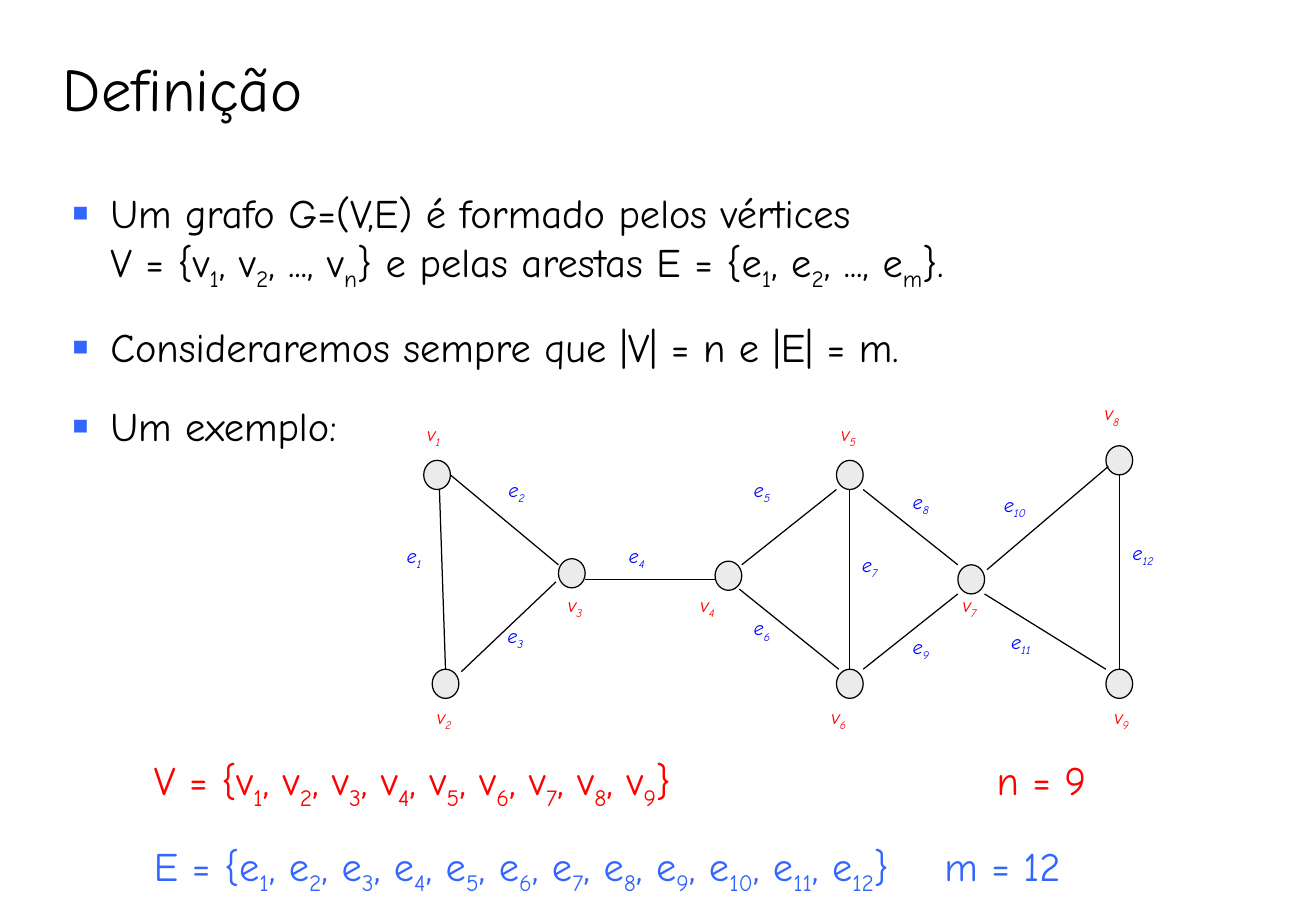
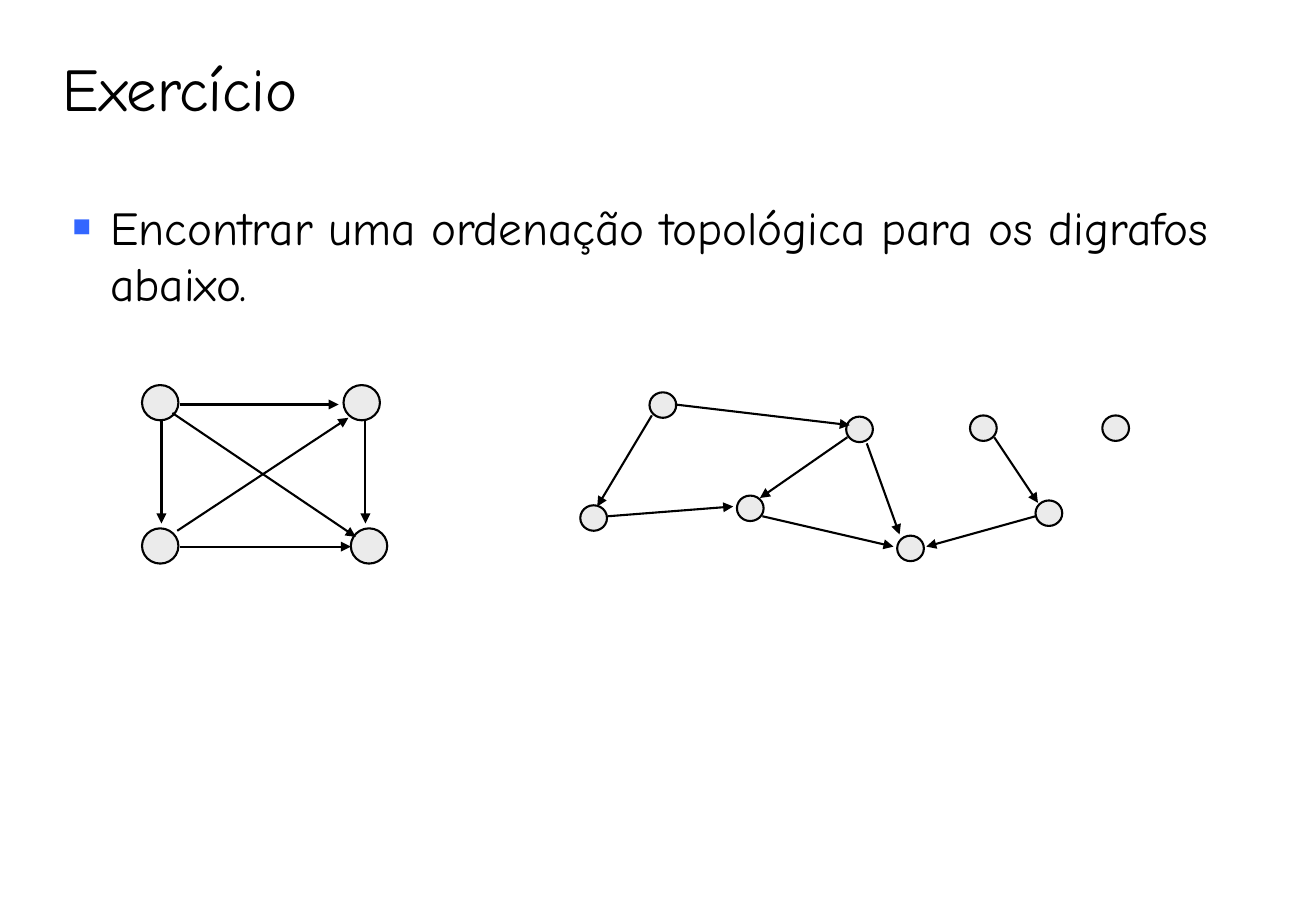
from collections import namedtuple
from dataclasses import dataclass

from lxml.etree import SubElement
from pptx import Presentation
from pptx.dml.color import RGBColor
from pptx.enum.shapes import MSO_CONNECTOR, MSO_SHAPE
from pptx.enum.text import MSO_ANCHOR
from pptx.oxml.ns import qn
from pptx.util import Pt

EMU_PER_PX = 9144  # 100 px to the inch

Box = namedtuple("Box", "left top width height")
Vertex = namedtuple("Vertex", "left top label_at", defaults=[None])
Edge = namedtuple("Edge", "start end label_at", defaults=[None])


@dataclass(frozen=True)
class Theme:
    font: str = "Comic Neue"
    ink: str = "000000"
    accent: str = "3366FF"
    vertex_fill: str = "EBEBEB"
    vertex_label: str = "FF0000"
    edge_label: str = "0000FF"
    title_size: int = 36
    large_size: int = 28
    body_size: int = 24
    label_size: int = 12
    thin_line: float = 0.75
    thick_line: float = 1.25


THEME = Theme()
TITLE_BOX = Box(42, 25, 975, 83)
BULLET_INDENT = 31
LABEL_HEIGHT = 52

EXAMPLE_VERTICES = [
    Vertex(24, 54, (17, 17)),
    Vertex(31, 226, (25, 250)),
    Vertex(135, 135, (133, 158)),
    Vertex(264, 137, (242, 158)),
    Vertex(364, 54, (358, 17)),
    Vertex(364, 226, (350, 250)),
    Vertex(464, 140, (458, 158)),
    Vertex(586, 42, (575, 0)),
    Vertex(586, 226, (583, 250)),
]
EXAMPLE_EDGES = [
    Edge((37, 78), (42, 226), (0, 117)),
    Edge((46, 66), (135, 140), (84, 63)),
    Edge((55, 228), (133, 154), (83, 183)),
    Edge((157, 152), (264, 152), (183, 117)),
    Edge((286, 140), (364, 78), (286, 63)),
    Edge((284, 160), (366, 226), (286, 177)),
    Edge((375, 78), (375, 226), (375, 125)),
    Edge((386, 78), (464, 140), (417, 73)),
    Edge((386, 226), (464, 164), (417, 192)),
    Edge((488, 144), (588, 59), (492, 75)),
    Edge((486, 164), (586, 226), (498, 188)),
    Edge((597, 66), (597, 226), (598, 115)),
]

SQUARE_VERTICES = [Vertex(0, 118), Vertex(172, 118), Vertex(0, 0), Vertex(166, 0)]
SQUARE_EDGES = [
    Edge((31, 133), (172, 133)),
    Edge((31, 16), (162, 16)),
    Edge((184, 30), (184, 114)),
    Edge((25, 23), (176, 125)),
    Edge((29, 120), (170, 27)),
    Edge((16, 30), (16, 114)),
]

WIDE_VERTICES = [
    Vertex(375, 89), Vertex(321, 19), Vertex(261, 118), Vertex(219, 20),
    Vertex(0, 93), Vertex(129, 85), Vertex(57, 0), Vertex(430, 19),
]
WIDE_EDGES = [
    Edge((59, 19), (14, 94)),
    Edge((23, 102), (126, 94)),
    Edge((78, 10), (222, 27)),
    Edge((220, 37), (148, 87)),
    Edge((150, 102), (258, 127)),
    Edge((236, 42), (263, 117)),
    Edge((341, 37), (377, 91)),
    Edge((375, 102), (285, 127)),
]


def px(*lengths):
    return [length * EMU_PER_PX for length in lengths]


def add_text_box(slide, box):
    frame = slide.shapes.add_textbox(*px(*box)).text_frame
    frame.word_wrap = True
    return frame


def add_paragraph(frame, first, space=0):
    paragraph = frame.paragraphs[0] if first else frame.add_paragraph()
    paragraph.space_before = paragraph.space_after = Pt(space)
    return paragraph


def write(paragraph, text, size, color, italic=False):
    """Add runs; parts between underscores are subscripts, a newline is a line break."""
    for index, part in enumerate(text.split("_")):
        for line_number, line in enumerate(part.split("\n")):
            if line_number:
                paragraph.add_line_break()
            if not line:
                continue
            run = paragraph.add_run()
            run.text = line
            run.font.name = THEME.font
            run.font.size = Pt(size)
            run.font.italic = italic
            run.font.color.rgb = RGBColor.from_string(color)
            if index % 2:
                run.font._element.set("baseline", "-25000")


def add_bullet(paragraph):
    properties = paragraph._p.get_or_add_pPr()
    indent = BULLET_INDENT * EMU_PER_PX
    properties.set("marL", str(indent))
    properties.set("indent", str(-indent))
    color = SubElement(properties, qn("a:buClr"))
    SubElement(color, qn("a:srgbClr"), val=THEME.accent)
    SubElement(properties, qn("a:buSzPct"), val="65000")
    SubElement(properties, qn("a:buFont"), typeface="Arial")
    SubElement(properties, qn("a:buChar"), char="■")


def add_tab_stop(paragraph, position):
    stops = SubElement(paragraph._p.get_or_add_pPr(), qn("a:tabLst"))
    SubElement(stops, qn("a:tab"), pos=str(position * EMU_PER_PX), algn="l")


def add_titled_slide(presentation, title):
    slide = presentation.slides.add_slide(presentation.slide_layouts[6])
    frame = add_text_box(slide, TITLE_BOX)
    frame.vertical_anchor = MSO_ANCHOR.BOTTOM
    paragraph = add_paragraph(frame, True)
    paragraph.line_spacing = 0.9
    write(paragraph, title, THEME.title_size, THEME.ink)
    return slide


def add_bullets(slide, box, texts, size, space):
    frame = add_text_box(slide, box)
    for index, text in enumerate(texts):
        paragraph = add_paragraph(frame, index == 0, space)
        add_bullet(paragraph)
        write(paragraph, text, size, THEME.ink)


def add_label(slide, left, top, letter, number, color):
    width = 61 if number < 10 else 81
    frame = add_text_box(slide, Box(left, top, width, LABEL_HEIGHT))
    paragraph = add_paragraph(frame, True, 4.5)
    write(paragraph, f"{letter}_{number}_", THEME.label_size, color, italic=True)


def add_vertex(slide, box, line_width):
    shape = slide.shapes.add_shape(MSO_SHAPE.OVAL, *px(*box))
    shape.shadow.inherit = False
    shape.fill.solid()
    shape.fill.fore_color.rgb = RGBColor.from_string(THEME.vertex_fill)
    shape.line.color.rgb = RGBColor.from_string(THEME.ink)
    shape.line.width = Pt(line_width)


def add_edge(slide, start, end, line_width, directed):
    connector = slide.shapes.add_connector(MSO_CONNECTOR.STRAIGHT, *px(*start, *end))
    connector.line.color.rgb = RGBColor.from_string(THEME.ink)
    connector.line.width = Pt(line_width)
    if directed:
        SubElement(connector.line._get_or_add_ln(), qn("a:tailEnd"), type="triangle")
    SubElement(connector._element.spPr, qn("a:effectLst"))


def add_graph(slide, left, top, vertices, edges, vertex_size, line_width, directed):
    """Place a graph whose coordinates are relative to (left, top)."""
    def place(point):
        return left + point[0], top + point[1]

    for vertex in vertices:
        add_vertex(slide, Box(*place(vertex), *vertex_size), line_width)
    for edge in edges:
        add_edge(slide, place(edge.start), place(edge.end), line_width, directed)
    for letter, items, color in (("e", edges, THEME.edge_label),
                                 ("v", vertices, THEME.vertex_label)):
        for number, item in enumerate(items, 1):
            if item.label_at:
                add_label(slide, *place(item.label_at), letter, number, color)


def add_set_summary(slide, box):
    """List both sets, each followed by its size at a tab stop."""
    frame = add_text_box(slide, box)
    rows = [
        ("V", len(EXAMPLE_VERTICES), "n", 694, THEME.vertex_label),
        ("E", len(EXAMPLE_EDGES), "m", 651, THEME.accent),
    ]
    for index, (name, count, size_name, tab, color) in enumerate(rows):
        members = ", ".join(f"{name.lower()}_{number}_" for number in range(1, count + 1))
        paragraph = add_paragraph(frame, index == 0, 9)
        add_tab_stop(paragraph, tab)
        write(paragraph, f"{name} = {{{members}}}\t{size_name} = {count}",
              THEME.body_size, color)


def build_definition(presentation):
    slide = add_titled_slide(presentation, "Definição")
    add_bullets(slide, Box(50, 150, 992, 233), [
        "Um grafo G=(V,E) é formado pelos vértices\n"
        "V = {v_1_, v_2_, ..., v_n_} e pelas arestas E = {e_1_, e_2_, ..., e_m_}.",
        "Consideraremos sempre que |V| = n e |E| = m.",
        "Um exemplo:",
    ], THEME.body_size, 9)
    add_graph(slide, 325, 325, EXAMPLE_VERTICES, EXAMPLE_EDGES,
              (22, 24), THEME.thin_line, directed=False)
    add_set_summary(slide, Box(117, 617, 858, 133))


def build_exercise(presentation):
    slide = add_titled_slide(presentation, "Exercício")
    add_bullets(slide, Box(50, 158, 975, 125),
                ["Encontrar uma ordenação topológica para os digrafos abaixo."],
                THEME.large_size, 10.5)
    add_graph(slide, 117, 317, SQUARE_VERTICES, SQUARE_EDGES,
              (30, 29), THEME.thick_line, directed=True)
    add_graph(slide, 478, 323, WIDE_VERTICES, WIDE_EDGES,
              (22, 21), THEME.thick_line, directed=True)


def main():
    presentation = Presentation()
    presentation.slide_width, presentation.slide_height = px(1084, 750)
    build_definition(presentation)
    build_exercise(presentation)
    presentation.save("out.pptx")


if __name__ == "__main__":
    main()
